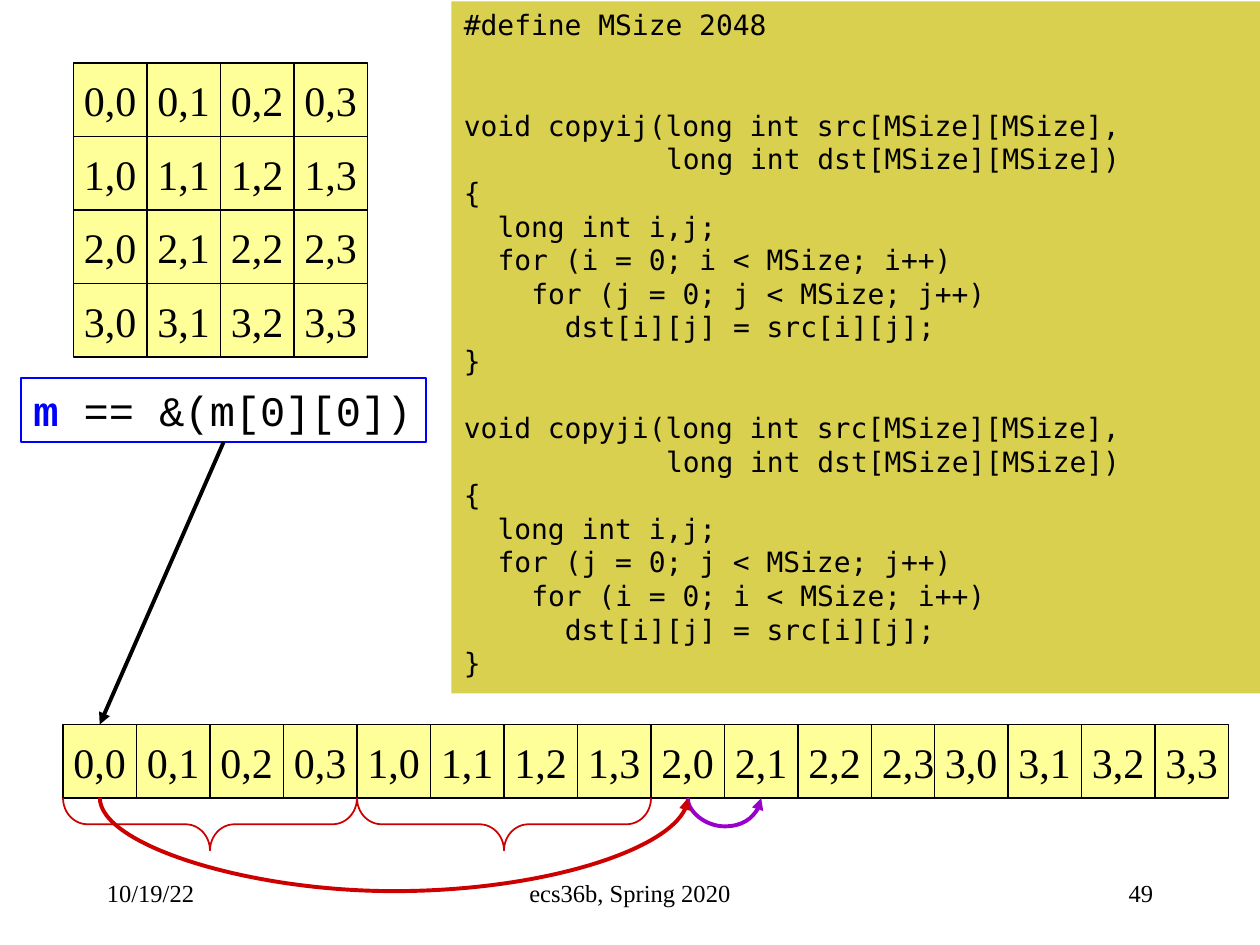
from lxml.etree import SubElement
from pptx import Presentation
from pptx.dml.color import RGBColor
from pptx.enum.shapes import MSO_CONNECTOR as Connector, MSO_SHAPE as Shape
from pptx.enum.text import MSO_ANCHOR as Anchor, PP_ALIGN as Align
from pptx.oxml.ns import qn
from pptx.util import Emu, Inches, Pt

COLS, ROWS = 120, 90
CELL = 7
SIZE = 4
SERIF, MONO, CODE = "Times New Roman", "Courier New", "DejaVu Sans Mono"
BLACK, BLUE, RED, PURPLE = "000000", "0000FF", "CC0000", "9900CC"
CODE_CHAR, CODE_LINE = Pt(9.63), Pt(19.2)


def grid(units):
    """Convert grid units of a twelfth of an inch to a length."""
    return Inches(units / 12)


def color(value):
    """Return the colour for a hex string."""
    return RGBColor.from_string(value)


def write(paragraph, text, font=SERIF, size=24, ink=BLACK, bold=False):
    """Add formatted text to a paragraph."""
    run = paragraph.add_run()
    run.text = text
    run.font.name = font
    run.font.size = Pt(size)
    run.font.bold = bold
    run.font.color.rgb = color(ink)


def add_block(slide, kind, left, top, width, height, fill=None, line=None):
    """Add a preset shape placed on the grid."""
    block = slide.shapes.add_shape(kind, *map(grid, (left, top, width, height)))
    block.shadow.inherit = False
    if fill:
        block.fill.solid()
        block.fill.fore_color.rgb = color(fill)
    else:
        block.fill.background()
    if line:
        block.line.color.rgb = color(line)
        block.line.width = Pt(1)
    else:
        block.line.fill.background()
    return block


def add_cell(slide, left, top, label):
    """Add one labelled matrix cell."""
    cell = add_block(slide, Shape.RECTANGLE, left, top, CELL, CELL, "FFFF99", BLACK)
    frame = cell.text_frame
    frame.word_wrap = False
    frame.vertical_anchor = Anchor.MIDDLE
    frame.paragraphs[0].alignment = Align.CENTER
    write(frame.paragraphs[0], label)


def add_matrix(slide, left, top):
    """Add the matrix as a square of cells."""
    for i in range(SIZE):
        for j in range(SIZE):
            add_cell(slide, left + j * CELL, top + i * CELL, f"{i},{j}")


def add_memory(slide, row_starts, top):
    """Add the matrix rows laid end to end in memory."""
    for i, start in enumerate(row_starts):
        for j in range(SIZE):
            add_cell(slide, start + j * CELL, top, f"{i},{j}")


def add_pointer(slide, left, top, width, height):
    """Add the boxed statement about the matrix address."""
    pointer = add_block(slide, Shape.RECTANGLE, left, top, width, height, line=BLUE)
    frame = pointer.text_frame
    frame.word_wrap = False
    frame.vertical_anchor = Anchor.TOP
    statement = frame.paragraphs[0]
    statement.alignment = Align.LEFT
    write(statement, "m", font=MONO, ink=BLUE, bold=True)
    write(statement, " == &(m[0][0])", font=MONO)


def style_arrow(arrow, ink):
    """Give a connector its line and arrowhead without a shadow."""
    arrow.line.color.rgb = color(ink)
    arrow.line.width = Pt(2.25)
    SubElement(arrow.line._get_or_add_ln(), qn("a:tailEnd"), type="triangle")
    SubElement(arrow._element.spPr, qn("a:effectLst"))


def add_arrow(slide, start, end, ink=BLACK):
    """Add a straight arrow between two grid points."""
    arrow = slide.shapes.add_connector(Connector.STRAIGHT, *map(grid, start + end))
    style_arrow(arrow, ink)


def add_jump(slide, start, end, level, depth, ink):
    """Add a curved arrow that dips below the row of cells."""
    middle, half = grid((start + end) / 2), grid((end - start) / 2)
    thin = Emu(1588)
    base = grid(level)
    jump = slide.shapes.add_connector(
        Connector.CURVE, middle + thin // 2, base - half, middle - thin // 2, base + half)
    properties = jump._element.spPr
    properties.find(qn("a:xfrm")).set("rot", "16200000")
    guides = properties.find(qn("a:prstGeom")).find(qn("a:avLst"))
    bend = round(grid(depth) / thin * 100000)
    SubElement(guides, qn("a:gd"), name="adj1", fmla=f"val {bend}")
    style_arrow(jump, ink)


def add_brace(slide, left, top, span, depth):
    """Add a brace that hangs below one matrix row."""
    brace = add_block(slide, Shape.LEFT_BRACE, left + (span - depth) / 2,
                      top - (span - depth) / 2, depth, span, line=RED)
    brace.rotation = 270
    brace.adjustments[0] = 0.467
    brace.adjustments[1] = 0.5


def copy_function(name, outer, inner, gap):
    """Return lines of a copy function as blank lines above, indent and text."""
    return [
        (gap, 0, f"void {name}(long int src[MSize][MSize],"),
        (0, 12, "long int dst[MSize][MSize])"),
        (0, 0, "{"),
        (0, 2, "long int i,j;"),
        (0, 2, f"for ({outer} = 0; {outer} < MSize; {outer}++)"),
        (0, 4, f"for ({inner} = 0; {inner} < MSize; {inner}++)"),
        (0, 6, "dst[i][j] = src[i][j];"),
        (0, 0, "}"),
    ]


def add_code(slide, left, top, width, height):
    """Add the code panel with indents and gaps from the code lines."""
    panel = add_block(slide, Shape.RECTANGLE, left, top, width, height, "DAD050")
    frame = panel.text_frame
    frame.word_wrap = True
    frame.vertical_anchor = Anchor.TOP
    lines = [(0, 0, "#define MSize 2048"),
             *copy_function("copyij", "i", "j", gap=2),
             *copy_function("copyji", "j", "i", gap=1)]
    for number, (gap, indent, text) in enumerate(lines):
        code_line = frame.add_paragraph() if number else frame.paragraphs[0]
        code_line.alignment = Align.LEFT
        code_line.space_before = gap * CODE_LINE
        margins = code_line._p.get_or_add_pPr()
        margins.set("marL", str(indent * CODE_CHAR))
        margins.set("indent", "0")
        write(code_line, text, font=CODE, size=16)


def add_footer(slide, left, width, text, align):
    """Add one part of the footer line."""
    footer = slide.shapes.add_textbox(*map(grid, (left, 82, width, 6)))
    frame = footer.text_frame
    frame.word_wrap = True
    frame.vertical_anchor = Anchor.MIDDLE
    frame.paragraphs[0].alignment = align
    write(frame.paragraphs[0], text, size=14)


def main():
    """Build the slide on row-major order and save it."""
    deck = Presentation()
    deck.slide_width, deck.slide_height = grid(COLS), grid(ROWS)
    slide = deck.slides.add_slide(deck.slide_layouts[6])

    add_footer(slide, 9, 25, "10/19/22", Align.LEFT)
    add_footer(slide, 41, 38, "ecs36b, Spring 2020", Align.CENTER)
    add_footer(slide, 86, 25, "49", Align.RIGHT)

    memory_top, span = 69, SIZE * CELL
    memory_bottom = memory_top + CELL
    row_starts = [6, 6 + span, 6 + 2 * span, 5 + 3 * span]
    first, third = row_starts[0] + CELL / 2, row_starts[2] + CELL / 2
    add_matrix(slide, 7, 6)
    add_memory(slide, row_starts, memory_top)
    add_pointer(slide, 2, 36, 38.6, 6.1)
    add_arrow(slide, (21.3, 42.1), (first, memory_top))
    for start in row_starts[:2]:
        add_brace(slide, start, memory_bottom, span, 5)
    add_jump(slide, third, third + CELL, memory_bottom, 3, PURPLE)
    add_jump(slide, first, third, memory_bottom, 9.8, RED)
    add_code(slide, 43, 0.13, 77, 65.9)
    deck.save("out.pptx")


if __name__ == "__main__":
    main()
